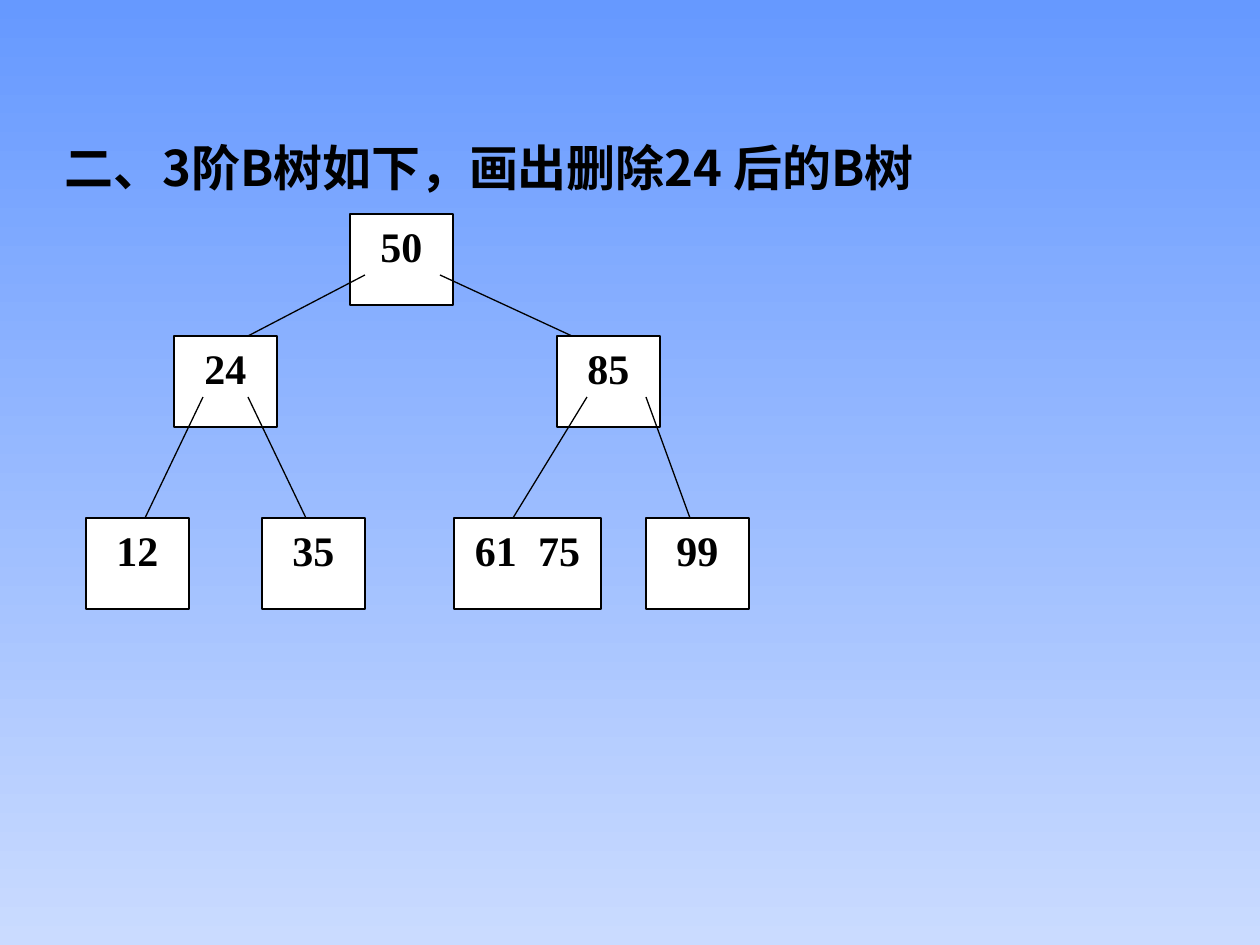
from dataclasses import dataclass
from pptx import Presentation as Deck
from pptx.dml.color import RGBColor as Rgb
from pptx.enum.shapes import MSO_CONNECTOR as Link, MSO_SHAPE as Form
from pptx.enum.text import MSO_ANCHOR as Anchor, PP_ALIGN as Align
from pptx.oxml.ns import qn
from pptx.util import Emu, Pt


@dataclass(frozen=True)
class Theme:
    ink: Rgb = Rgb(0, 0, 0)
    paper: Rgb = Rgb(255, 255, 255)
    sky: Rgb = Rgb(0x66, 0x99, 0xFF)
    mist: Rgb = Rgb(0xCA, 0xDB, 0xFF)
    head: str = "Noto Sans CJK SC"
    body: str = "Times New Roman"
    big: int = 28
    mid: int = 24
    rule: float = 0.75


LOOK = Theme()
SCALE = 914400 / 126
WIDE, HIGH = 103, 91
DROP = 61
TOPS = [214, 336, 518]
NODES = [
    ("50", 350, 0, WIDE),
    ("24", 174, 1, WIDE),
    ("85", 557, 1, WIDE),
    ("12", 86, 2, WIDE),
    ("35", 262, 2, WIDE),
    ("61  75", 454, 2, 147),
    ("99", 646, 2, WIDE),
]
EDGES = [
    (0, 365, 248),
    (0, 440, 572),
    (1, 203, 145),
    (1, 248, 306),
    (1, 587, 513),
    (1, 646, 690),
]


def px(*nums):
    return [Emu(round(num * SCALE)) for num in nums]


def put(item, vals):
    for name, val in vals.items():
        setattr(item, name, val)


def write(shape, text, face, size, frame, para):
    put(shape.text_frame, {"word_wrap": True, **frame})
    line = shape.text_frame.paragraphs[0]
    put(line, para)
    run = line.add_run()
    run.text = text
    put(run.font, {"name": face, "size": Pt(size), "bold": True})
    run.font.color.rgb = LOOK.ink
    props = run.font._element
    east = props.makeelement(qn("a:ea"), {"typeface": face})
    props.find(qn("a:latin")).addnext(east)


def stroke(line):
    line.color.rgb = LOOK.ink
    line.width = Pt(LOOK.rule)


def paint(slide):
    fill = slide.background.fill
    fill.gradient()
    fill.gradient_angle = 270
    for stop, tint, spot in zip(fill.gradient_stops, (LOOK.sky, LOOK.mist), (0, 1)):
        stop.color.rgb = tint
        stop.position = spot


def title(slide, text):
    box = slide.shapes.add_textbox(*px(52, 102, 966, 131))
    write(box, text, LOOK.head, LOOK.big,
          {"vertical_anchor": Anchor.MIDDLE}, {"line_spacing": Pt(33)})


def node(slide, text, left, row, wide):
    box = slide.shapes.add_shape(Form.RECTANGLE, *px(left, TOPS[row], wide, HIGH))
    box.shadow.inherit = False
    box.fill.solid()
    box.fill.fore_color.rgb = LOOK.paper
    stroke(box.line)
    write(box, text, LOOK.body, LOOK.mid,
          {"vertical_anchor": Anchor.TOP}, {"alignment": Align.CENTER})


def edge(slide, row, start, end):
    ends = px(start, TOPS[row] + DROP, end, TOPS[row + 1])
    line = slide.shapes.add_connector(Link.STRAIGHT, *ends)
    stroke(line.line)
    props = line._element.spPr
    props.append(props.makeelement(qn("a:effectLst"), {}))


def main():
    deck = Deck()
    deck.slide_width, deck.slide_height = px(1260, 945)
    slide = deck.slides.add_slide(deck.slide_layouts[6])
    paint(slide)
    title(slide, "二、3阶B树如下，画出删除24 后的B树")
    for item in NODES:
        node(slide, *item)
    for item in EDGES:
        edge(slide, *item)
    deck.save("out.pptx")


if __name__ == "__main__":
    main()
